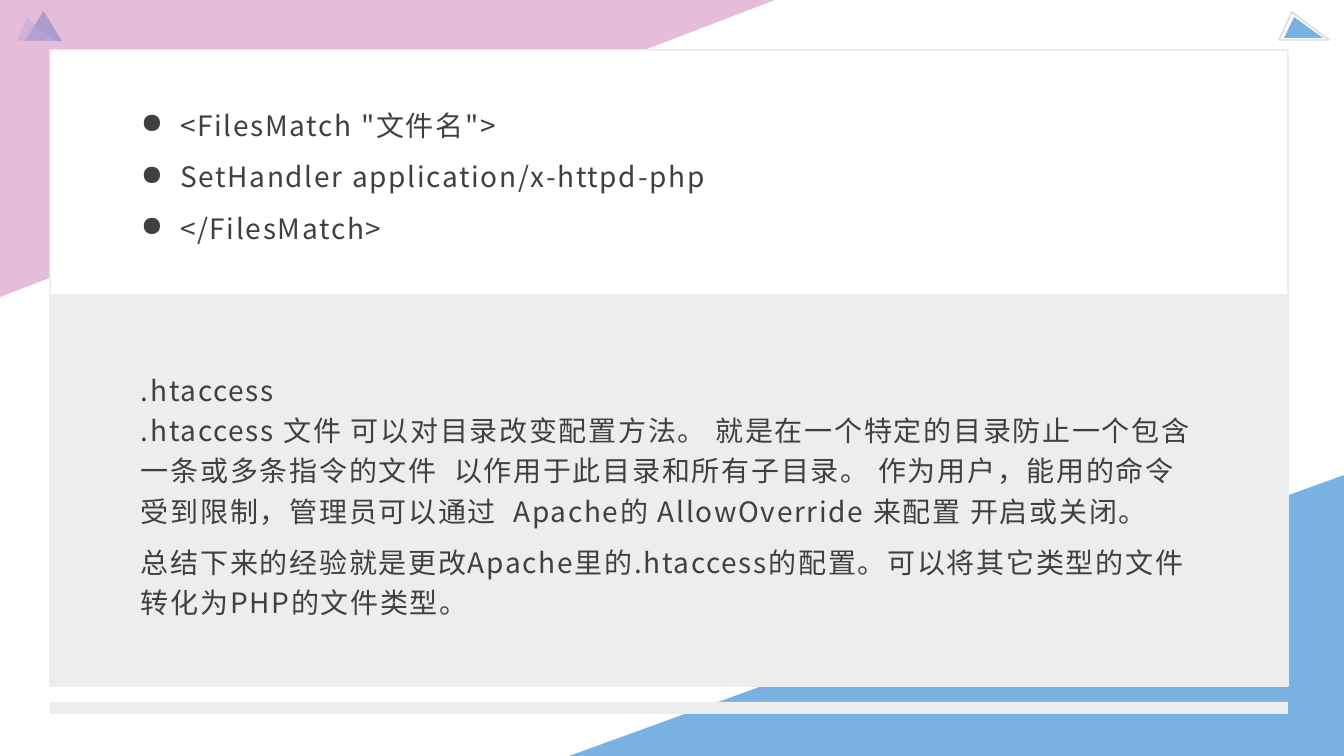
from lxml import etree
from pptx import Presentation
from pptx import util as u
from pptx.dml.color import RGBColor
from pptx.enum import shapes, text
from pptx.oxml.ns import qn

PX = 914400 / 100.8
WIDTH, HEIGHT = 1344, 756
FONT = "Noto Sans CJK SC"
COLORS = {
    "white": "FFFFFF",
    "mist": "ECEDEF",
    "outline": "D9D9D9",
    "ink": "404040",
    "sky": "79B1E3",
    "azure": "3187D4",
    "ice": "AFD0EE",
    "pink": "CE84BB",
}
DIRECTIVES = [
    '<FilesMatch "文件名">',
    "SetHandler application/x-httpd-php",
    "</FilesMatch>",
]
EXPLANATION = [
    ".htaccess\v.htaccess 文件 可以对目录改变配置方法。 就是在一个特定的目录防止一个包含"
    "一条或多条指令的文件  以作用于此目录和所有子目录。 作为用户，能用的命令受到限制，"
    "管理员可以通过  Apache的 AllowOverride 来配置 开启或关闭。",
    "总结下来的经验就是更改Apache里的.htaccess的配置。可以将其它类型的文件转化为PHP的文件类型。",
]


def px(length):
    return u.Emu(round(length * PX))


def rgb(name):
    return RGBColor.from_string(COLORS[name])


def paint(shape, fill=None, alpha=None, line=None, weight=1.5):
    shape.shadow.inherit = False
    if fill:
        shape.fill.solid()
        shape.fill.fore_color.rgb = rgb(fill)
        if alpha:
            color = shape.fill._xPr.find(qn("a:solidFill"))[0]
            etree.SubElement(color, qn("a:alpha"), val=str(alpha * 1000))
    else:
        shape.fill.background()
    if line:
        shape.line.color.rgb = rgb(line)
        shape.line.width = u.Pt(weight)
    else:
        shape.line.fill.background()


def add_preset(slide, kind, box, apex=None, **look):
    shape = slide.shapes.add_shape(kind, *map(px, box))
    if apex is not None:
        shape.adjustments[0] = apex
    paint(shape, **look)


def add_text(slide, box, lines, size=20, color="ink", spacing=1.2, bullet=None, indent=0):
    frame = slide.shapes.add_textbox(*map(px, box)).text_frame
    frame.word_wrap = True
    frame.vertical_anchor = text.MSO_ANCHOR.MIDDLE
    frame.margin_left = frame.margin_right = px(7)
    frame.margin_top = frame.margin_bottom = px(3)
    for index, line in enumerate(lines):
        paragraph = frame.paragraphs[0] if index == 0 else frame.add_paragraph()
        paragraph.text = line
        paragraph.line_spacing = 1.2
        paragraph.space_after = u.Pt(8)
        if bullet:
            props = paragraph._p.get_or_add_pPr()
            props.set("marL", str(px(indent)))
            props.set("indent", str(-px(indent)))
            etree.SubElement(props, qn("a:buChar"), char=bullet)
        for run in paragraph.runs:
            run.font.size = u.Pt(size)
            run.font.name = FONT
            run.font.color.rgb = rgb(color)
            props = run._r.get_or_add_rPr()
            props.set("spc", str(round(spacing * 100)))
            etree.SubElement(props, qn("a:ea"), typeface=FONT)


def add_peaks(slide, box):
    left, top, width, height = box
    triangle = shapes.MSO_SHAPE.ISOSCELES_TRIANGLE
    add_preset(slide, triangle, (left + 8, top, width - 8, height),
               apex=0.5, fill="azure", alpha=60)
    add_preset(slide, triangle, (left, top + 7, width - 8, height - 7),
               apex=0.28, fill="ice", alpha=50)


def add_framed_peak(slide, box):
    left, top, width, height = box
    triangle = shapes.MSO_SHAPE.ISOSCELES_TRIANGLE
    add_preset(slide, triangle, box, apex=0.26, line="outline", weight=1)
    add_preset(slide, triangle, (left + 5, top + 5, width - 11, height - 7),
               apex=0.26, fill="sky")


def add_corner(slide, points, **look):
    builder = slide.shapes.build_freeform(*points[0], scale=PX)
    builder.add_line_segments(points[1:], close=True)
    paint(builder.convert_to_shape(), **look)


def add_panel(slide, box, fill, lines, text_top, text_height, **style):
    left, top, width, height = box
    add_preset(slide, shapes.MSO_SHAPE.RECTANGLE, box, fill=fill, line="mist")
    add_text(slide, (left + 84, top + text_top, width - 162, text_height), lines, **style)


def main():
    deck = Presentation()
    deck.slide_width, deck.slide_height = px(WIDTH), px(HEIGHT)
    slide = deck.slides.add_slide(deck.slide_layouts[6])
    add_peaks(slide, (17, 11, 45, 30))
    add_framed_peak(slide, (1279, 12, 50, 28))
    add_corner(slide, [(WIDTH, 475), (WIDTH, HEIGHT), (569, HEIGHT)], fill="sky")
    add_corner(slide, [(0, 0), (775, 0), (0, 297)], fill="pink", alpha=53)
    add_preset(slide, shapes.MSO_SHAPE.RECTANGLE, (50, 702, 1238, 12), fill="mist")
    add_panel(slide, (50, 50, 1238, 246), "white", DIRECTIVES, 34, 178,
              bullet="●", indent=39)
    add_panel(slide, (50, 295, 1238, 391), "mist", EXPLANATION, 35, 326)
    deck.save("out.pptx")


if __name__ == "__main__":
    main()
